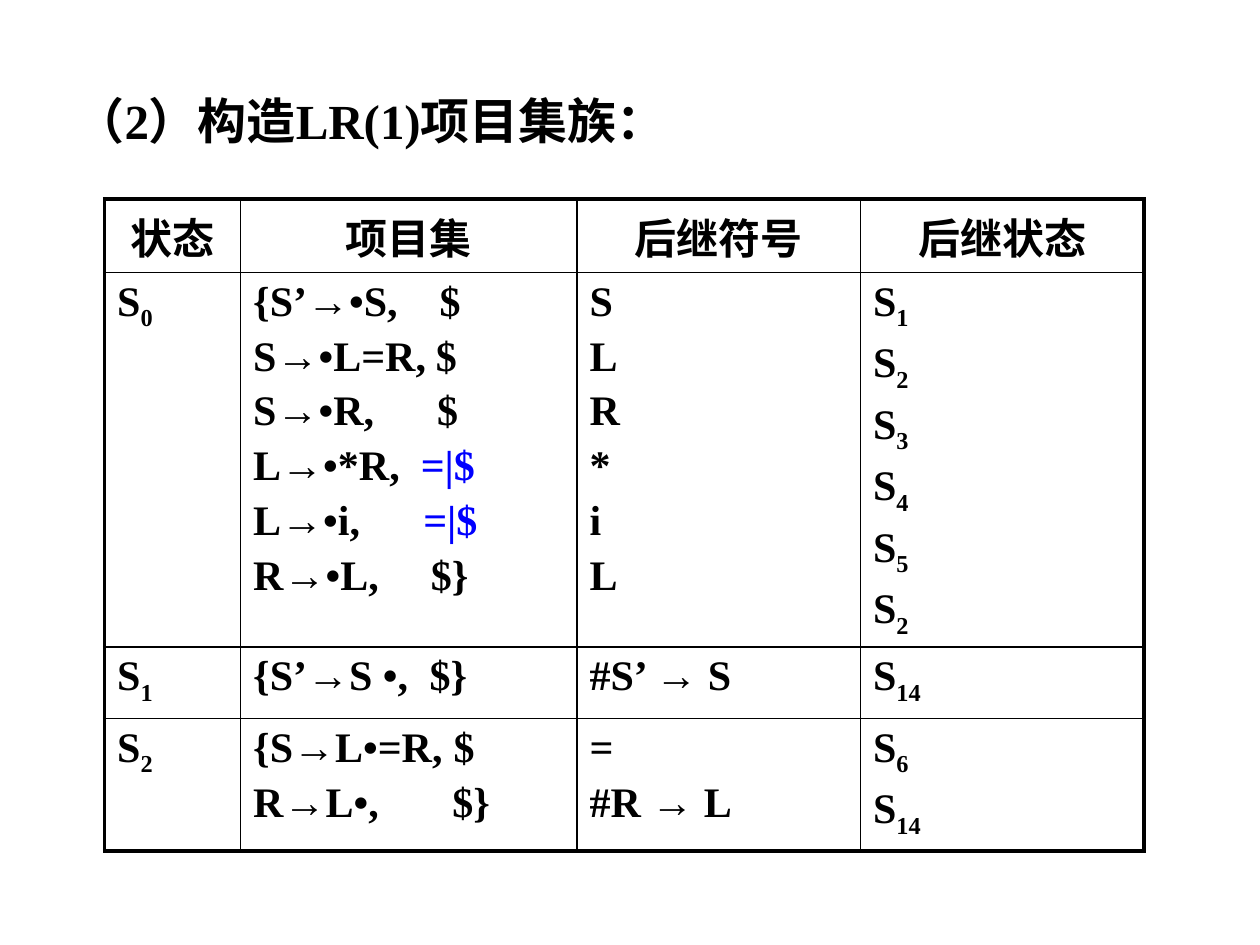
from lxml import etree
from pptx import Presentation
from pptx import util as u
from pptx.dml.color import RGBColor
from pptx.enum import text as t
from pptx.oxml.ns import qn

BLACK = RGBColor(0, 0, 0)
BLUE = RGBColor(0, 0, 255)
FONT = "Times New Roman"
THICK, THIN = 2.25, 1

HEADS = ["状态", "项目集", "后继符号", "后继状态"]
WIDTHS = [1.08, 2.67, 2.25, 2.25]
HEIGHTS = [0.5, 2.97, 0.57, 1.05]
ROWS = [
    ("0",
     [("{S’→•S,", "$", 1.48), ("S→•L=R,", "$", 1.45), ("S→•R,", "$", 1.46),
      ("L→•*R,", "=|$", 1.33), ("L→•i,", "=|$", 1.35), ("R→•L,", "$}", 1.41)],
     ["S", "L", "R", "*", "i", "L"],
     ["1", "2", "3", "4", "5", "2"]),
    ("1", [("{S’→S •,", "$}", 1.4)], ["#S’ → S"], ["14"]),
    ("2",
     [("{S→L•=R,", "$", 1.59), ("R→L•,", "$}", 1.58)],
     ["=", "#R → L"],
     ["6", "14"]),
]


def write(par, text, size=24, color=BLACK, base=0):
    run = par.add_run()
    run.text = text
    font = run.font
    font.name, font.size, font.bold = FONT, u.Pt(size), True
    font.color.rgb = color
    if base:
        run._r.get_or_add_rPr().set("baseline", str(base * 1000))


def space(par, bullet=True, stop=None):
    prop = par._p.get_or_add_pPr()
    gap = etree.SubElement(prop, qn("a:spcBef"))
    etree.SubElement(gap, qn("a:spcPct")).set("val", "20000")
    if not bullet:
        etree.SubElement(prop, qn("a:buNone"))
    if stop:
        tabs = etree.SubElement(prop, qn("a:tabLst"))
        tab = etree.SubElement(tabs, qn("a:tab"))
        tab.set("pos", str(u.Inches(stop)))
        tab.set("algn", "l")
    return prop


def lines(cell, items):
    frame = cell.text_frame
    for num, item in enumerate(items):
        par = frame.add_paragraph() if num else frame.paragraphs[0]
        yield par, item


def border(cell, row, col, last):
    edges = {"L": col == 0, "R": col == len(WIDTHS) - 1,
             "T": row == 0, "B": row == last}
    prop = cell._tc.get_or_add_tcPr()
    for num, (side, outer) in enumerate(edges.items()):
        line = etree.Element(qn("a:ln" + side))
        line.set("w", str(u.Pt(THICK if outer else THIN)))
        fill = etree.SubElement(line, qn("a:solidFill"))
        etree.SubElement(fill, qn("a:srgbClr")).set("val", str(BLACK))
        prop.insert(num, line)


def fill_head(cell, text):
    par = cell.text_frame.paragraphs[0]
    par.alignment = t.PP_ALIGN.CENTER
    space(par)
    write(par, text)


def fill_state(cell, nums):
    for par, num in lines(cell, nums):
        space(par)
        write(par, "S")
        write(par, num, base=-25)


def fill_items(cell, items):
    for par, (rule, ahead, stop) in lines(cell, items):
        space(par, stop=stop)
        write(par, rule + "\t")
        write(par, ahead, color=BLUE if ahead.startswith("=") else BLACK)


def fill_marks(cell, marks):
    for par, mark in lines(cell, marks):
        space(par)
        write(par, mark)


def add_head(slide, left, top, width, height):
    body = slide.placeholders[1]
    body.left, body.top = u.Inches(left), u.Inches(top)
    body.width, body.height = u.Inches(width), u.Inches(height)
    par = body.text_frame.paragraphs[0]
    prop = space(par, bullet=False)
    prop.set("marL", str(u.Inches(0.38)))
    prop.set("indent", str(u.Inches(-0.38)))
    write(par, "（2）构造LR(1)项目集族：", size=28)


def add_grid(slide, left, top, width, height):
    grid = slide.shapes.add_table(
        len(HEIGHTS), len(WIDTHS), u.Inches(left), u.Inches(top),
        u.Inches(width), u.Inches(height)).table
    grid.first_row = grid.horz_banding = False
    for col, wide in zip(grid.columns, WIDTHS):
        col.width = u.Inches(wide)
    for row, high in zip(grid.rows, HEIGHTS):
        row.height = u.Inches(high)
    for col, head in enumerate(HEADS):
        fill_head(grid.cell(0, col), head)
    for row, (state, items, marks, nexts) in enumerate(ROWS, 1):
        fill_state(grid.cell(row, 0), [state])
        fill_items(grid.cell(row, 1), items)
        fill_marks(grid.cell(row, 2), marks)
        fill_state(grid.cell(row, 3), nexts)
    for row in range(len(HEIGHTS)):
        for col in range(len(WIDTHS)):
            cell = grid.cell(row, col)
            cell.fill.background()
            border(cell, row, col, len(HEIGHTS) - 1)


def main():
    deck = Presentation()
    deck.slide_width, deck.slide_height = u.Inches(10), u.Inches(7.5)
    slide = deck.slides.add_slide(deck.slide_layouts[1])
    title = slide.shapes.title.element
    title.getparent().remove(title)
    add_head(slide, 0.5, 0.67, 9, 0.58)
    add_grid(slide, 0.83, 1.58, sum(WIDTHS), sum(HEIGHTS))
    deck.save("out.pptx")


if __name__ == "__main__":
    main()
